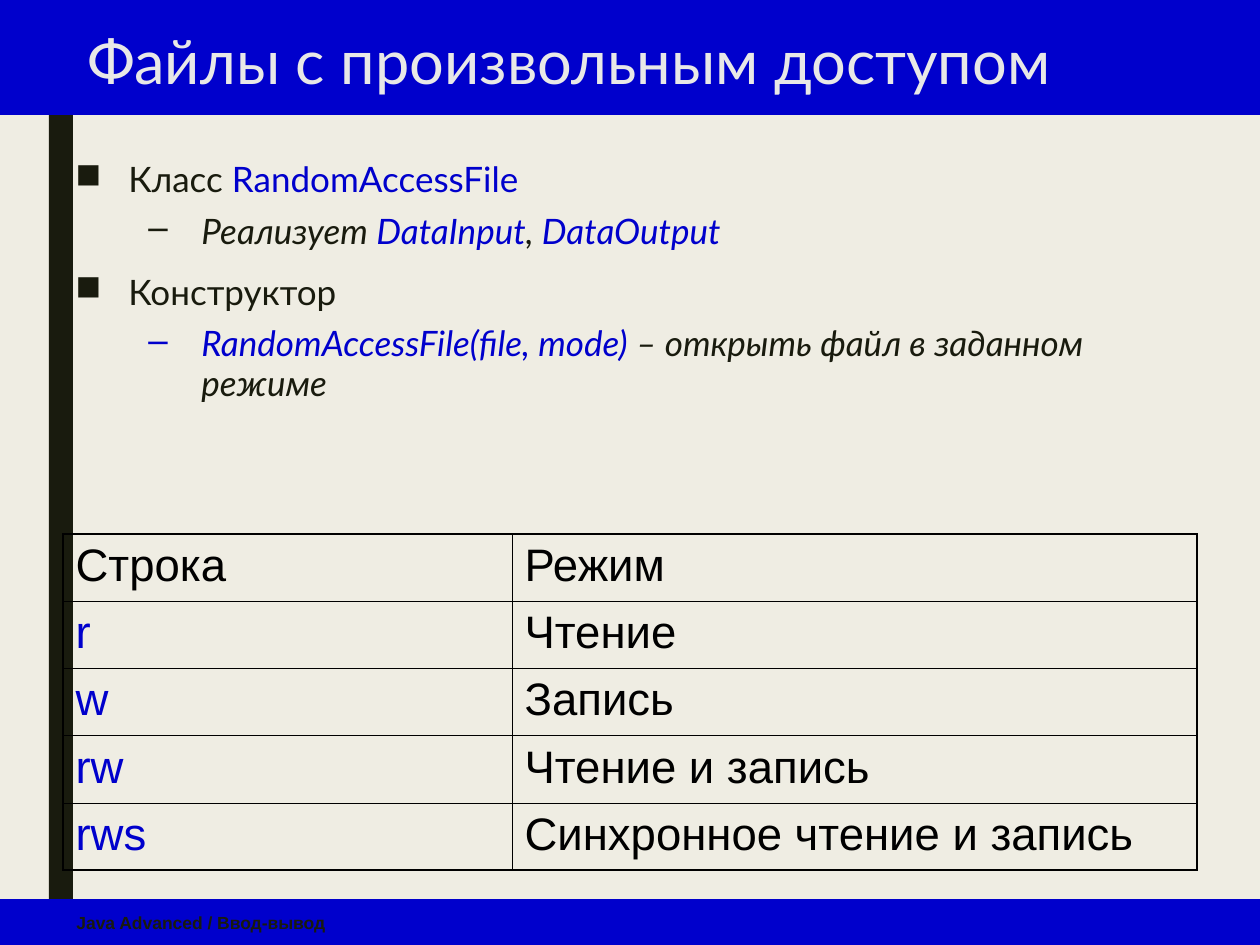
from lxml.etree import SubElement
from pptx import Presentation
from pptx.dml.color import RGBColor
from pptx.enum.shapes import MSO_SHAPE as Shape
from pptx.enum.text import MSO_ANCHOR as Anchor
from pptx.oxml.ns import qn
from pptx.util import Emu, Pt

PX = 914400 / 126
CREAM = RGBColor(0xEF, 0xED, 0xE3)
INK = RGBColor(0x19, 0x1B, 0x0E)
BLUE = RGBColor(0x00, 0x00, 0xCC)
PALE = RGBColor(0xE8, 0xE8, 0xE7)
BLACK = RGBColor(0x00, 0x00, 0x00)
HEAVY, THIN = 1.08, 0.45


def px(length):
    return Emu(round(length * PX))


def add_text(paragraph, text, *, size, font, color, bold=False, italic=False):
    run = paragraph.add_run()
    run.text = text
    run.font.size, run.font.name = Pt(size), font
    run.font.bold, run.font.italic = bold, italic
    run.font.color.rgb = color


def add_color(parent, color):
    fill = SubElement(parent, qn("a:solidFill"))
    SubElement(fill, qn("a:srgbClr"), val=str(color))


class SlideBuilder:
    # Per level: bullet, left margin, space before in points
    levels = (("■", 53, 10), ("–", 126, 5))
    hanging = 53

    def __init__(self, slide):
        self.slide = slide
        slide.background.fill.solid()
        slide.background.fill.fore_color.rgb = CREAM

    def band(self, left, top, width, height, color):
        shape = self.slide.shapes.add_shape(
            Shape.RECTANGLE, px(left), px(top), px(width), px(height))
        shape.shadow.inherit = False
        shape.fill.solid()
        shape.fill.fore_color.rgb = color
        shape.line.fill.background()

    def text_box(self, left, top, width, height, anchor=Anchor.TOP):
        box = self.slide.shapes.add_textbox(px(left), px(top), px(width), px(height))
        frame = box.text_frame
        frame.word_wrap = True
        frame.vertical_anchor = anchor
        return frame

    def line(self, left, top, width, height, text, *, anchor=Anchor.TOP, spacing=None, **style):
        paragraph = self.text_box(left, top, width, height, anchor).paragraphs[0]
        paragraph.line_spacing = spacing
        add_text(paragraph, text, **style)

    def outline(self, left, top, width, height, items):
        frame = self.text_box(left, top, width, height)
        for index, (level, runs) in enumerate(items):
            paragraph = frame.add_paragraph() if index else frame.paragraphs[0]
            bullet, margin, before = self.levels[level]
            properties = paragraph._p.get_or_add_pPr()
            properties.set("marL", str(px(margin)))
            properties.set("indent", str(-px(self.hanging)))
            add_bullet_color = SubElement(properties, qn("a:buClr"))
            SubElement(add_bullet_color, qn("a:srgbClr"), val=str(runs[0][1]))
            SubElement(properties, qn("a:buChar"), char=bullet)
            paragraph.level = level
            paragraph.line_spacing = 0.94
            paragraph.space_before = Pt(before if index else 0)
            paragraph.space_after = Pt(2)
            for text, color in runs:
                add_text(paragraph, text, size=20, font="Lato", color=color, italic=level == 1)

    def border(self, cell, side, width):
        edge = SubElement(cell._tc.get_or_add_tcPr(), qn(f"a:ln{side}"), w=str(Pt(width)))
        add_color(edge, BLACK)

    def table(self, left, top, widths, row_height, rows):
        last_row, last_column = len(rows) - 1, len(widths) - 1
        table = self.slide.shapes.add_table(
            len(rows), len(widths), px(left), px(top),
            px(sum(widths)), px(row_height * len(rows))).table
        table.first_row = table.horz_banding = False
        for column, width in zip(table.columns, widths):
            column.width = px(width)
        for r, values in enumerate(rows):
            table.rows[r].height = px(row_height)
            for c, value in enumerate(values):
                cell = table.cell(r, c)
                outer = {"L": c == 0, "R": c == last_column, "T": r == 0, "B": r == last_row}
                for side, is_outer in outer.items():
                    self.border(cell, side, HEAVY if is_outer else THIN)
                cell.fill.background()
                add_text(cell.text_frame.paragraphs[0], value, size=26, font="Arial",
                         color=BLUE if r and c == 0 else BLACK)


def main():
    deck = Presentation()
    deck.slide_width, deck.slide_height = px(1260), px(945)
    page = SlideBuilder(deck.slides.add_slide(deck.slide_layouts[6]))

    # Side stripe, header and footer bands
    page.band(49, 0, 24, 945, INK)
    page.band(0, 0, 1260, 115, BLUE)
    page.band(0, 899, 1260, 46, BLUE)

    # Title
    page.line(75, 26, 1216, 89, "Файлы c произвольным доступом",
              spacing=0.89, size=35, font="Lato", color=PALE)

    # Class and constructor
    page.outline(63, 155, 1134, 348, [
        (0, [("Класс ", INK), ("RandomAccessFile", BLUE)]),
        (1, [("Реализует ", INK), ("DataInput", BLUE), (", ", INK), ("DataOutput", BLUE)]),
        (0, [("Конструктор", INK)]),
        (1, [("RandomAccessFile(file, mode) ", BLUE),
             ("– открыть файл в заданном режиме", INK)]),
    ])

    # Access modes
    page.table(63, 534, (449, 685), 67, [
        ("Строка", "Режим"),
        ("r", "Чтение"),
        ("w", "Запись"),
        ("rw", "Чтение и запись"),
        ("rws", "Синхронное чтение и запись"),
    ])

    # Footer
    page.line(64, 899, 1142, 46, "Java Advanced / Ввод-вывод", anchor=Anchor.MIDDLE,
              size=10, font="Arial", color=INK, bold=True)

    deck.save("out.pptx")


if __name__ == "__main__":
    main()
